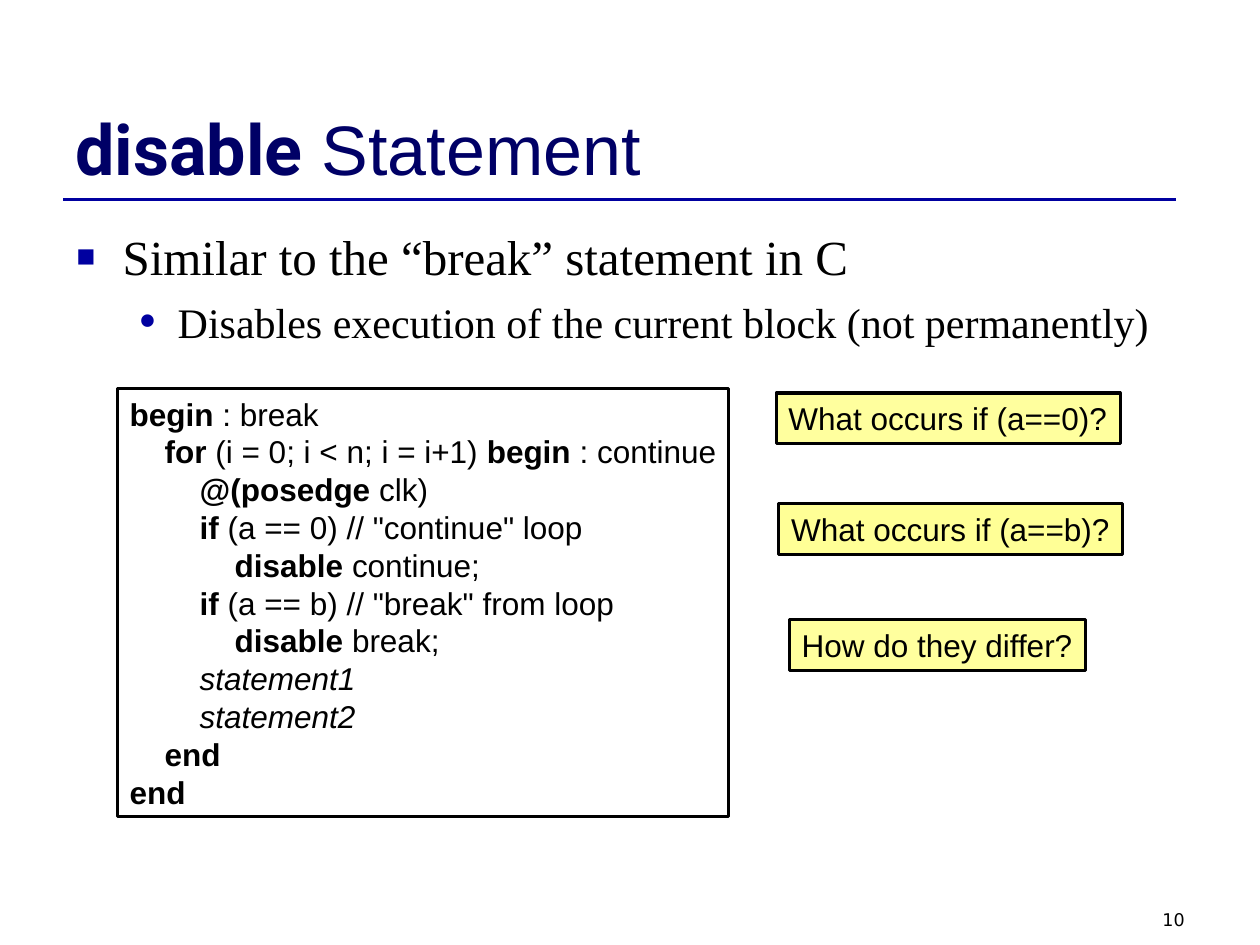
from lxml.etree import SubElement
from pptx import Presentation
from pptx.dml.color import RGBColor
from pptx.enum.shapes import MSO_CONNECTOR as CONN, MSO_SHAPE as SHAPE
from pptx.enum.text import MSO_ANCHOR as ANCHOR, PP_ALIGN as ALIGN
from pptx.oxml.ns import qn
from pptx.util import Pt


def color(hex_string):
    return RGBColor.from_string(hex_string)


class Deck:
    ink, accent, heading, note = "000000", "0000A0", "000066", "FFFF00"
    sans, serif = "Arial", "Times New Roman"
    code_size, code_pitch, code_indent = 18, 21.6, 20

    def __init__(self, prs):
        self.s = prs.slides.add_slide(prs.slide_layouts[6])

    def run(self, p, text, size, font, ink=ink, bold=False, italic=False):
        r = p.add_run()
        r.text = text
        r.font.size, r.font.name = Pt(size), font
        r.font.bold, r.font.italic = bold, italic
        r.font.color.rgb = color(ink)

    def text_box(self, x, y, w, h, anchor=ANCHOR.TOP):
        tf = self.s.shapes.add_textbox(Pt(x), Pt(y), Pt(w), Pt(h)).text_frame
        tf.word_wrap, tf.vertical_anchor = True, anchor
        return tf

    def rule(self, x1, x2, y):
        ln = self.s.shapes.add_connector(CONN.STRAIGHT, Pt(x1), Pt(y), Pt(x2), Pt(y))
        ln.line.color.rgb, ln.line.width = color(self.accent), Pt(1.5)
        SubElement(ln._element.spPr, qn("a:effectLst"))

    def bullet(self, p, char, text, size, left, hang, before):
        p.space_before = Pt(before)
        pPr = p._p.get_or_add_pPr()
        pPr.set("marL", str(Pt(left)))
        pPr.set("indent", str(-Pt(hang)))
        clr = SubElement(pPr, qn("a:buClr"))
        SubElement(clr, qn("a:srgbClr"), val=self.accent)
        SubElement(pPr, qn("a:buSzPct"), val="125000")
        SubElement(pPr, qn("a:buFont"), typeface=self.serif)
        SubElement(pPr, qn("a:buChar"), char=char)
        self.run(p, text, size, self.serif)

    def code_box(self, x, y, w, lines, opacity=None):
        h = len(lines) * self.code_pitch + 7.2
        sp = self.s.shapes.add_shape(SHAPE.RECTANGLE, Pt(x), Pt(y), Pt(w), Pt(h))
        sp.shadow.inherit = False
        sp.line.color.rgb, sp.line.width = color(self.ink), Pt(1.75)
        if opacity is None:
            sp.fill.background()
        else:
            sp.fill.solid()
            sp.fill.fore_color.rgb = color(self.note)
            clr = sp._element.spPr.find(".//" + qn("a:srgbClr"))
            SubElement(clr, qn("a:alpha"), val=str(opacity * 1000))
        tf = sp.text_frame
        tf.word_wrap, tf.vertical_anchor = False, ANCHOR.TOP
        for i, (level, bold, plain, italic) in enumerate(lines):
            p = tf.add_paragraph() if i else tf.paragraphs[0]
            p.alignment, p.line_spacing = ALIGN.LEFT, Pt(self.code_pitch)
            p._p.get_or_add_pPr().set("marL", str(Pt(level * self.code_indent)))
            for text, b, it in ((bold, True, False), (plain, False, False), (italic, False, True)):
                if text:
                    self.run(p, text, self.code_size, self.sans, bold=b, italic=it)
        return tf


def main():
    prs = Presentation()
    prs.slide_width, prs.slide_height = Pt(720), Pt(540)
    deck = Deck(prs)

    deck.rule(36, 672, 114)

    p = deck.text_box(516, 516, 168, 18).paragraphs[0]
    p.alignment = ALIGN.RIGHT
    deck.run(p, "10", 10, "DejaVu Sans")

    p = deck.text_box(36, 21.6, 648, 90, ANCHOR.BOTTOM).paragraphs[0]
    deck.run(p, "disable", 40, "Roboto", deck.heading, bold=True)
    deck.run(p, " Statement", 40, deck.sans, deck.heading)

    tf = deck.text_box(36, 126, 648, 78)
    deck.bullet(tf.paragraphs[0], "▪", "Similar to the “break” statement in C", 28, 27, 27, 7)
    deck.bullet(tf.add_paragraph(), "•",
                "Disables execution of the current block (not permanently)", 24, 58.5, 22.5, 6)

    code = [
        (0, "begin ", ": break", ""),
        (1, "for ", "(i = 0; i < n; i = i+1) ", ""),
        (2, "@(posedge ", "clk)", ""),
        (2, "if ", '(a == 0) // "continue" loop', ""),
        (3, "disable ", "continue;", ""),
        (2, "if ", '(a == b) // "break" from loop', ""),
        (3, "disable ", "break;", ""),
        (2, "", "", "statement1"),
        (2, "", "", "statement2"),
        (1, "end", "", ""),
        (0, "end", "", ""),
    ]
    loop = deck.code_box(67, 222, 349.2, code).paragraphs[1]
    deck.run(loop, "begin ", deck.code_size, deck.sans, bold=True)
    deck.run(loop, ": continue", deck.code_size, deck.sans)

    questions = [
        (443.5, 224.6, 196.6, "What occurs if (a==0)?", 38),
        (445, 288, 196.6, "What occurs if (a==b)?", 41),
        (451, 354.2, 169.2, "How do they differ?", 38),
    ]
    for x, y, w, text, opacity in questions:
        deck.code_box(x, y, w, [(0, "", text, "")], opacity)

    prs.save("out.pptx")


if __name__ == "__main__":
    main()
